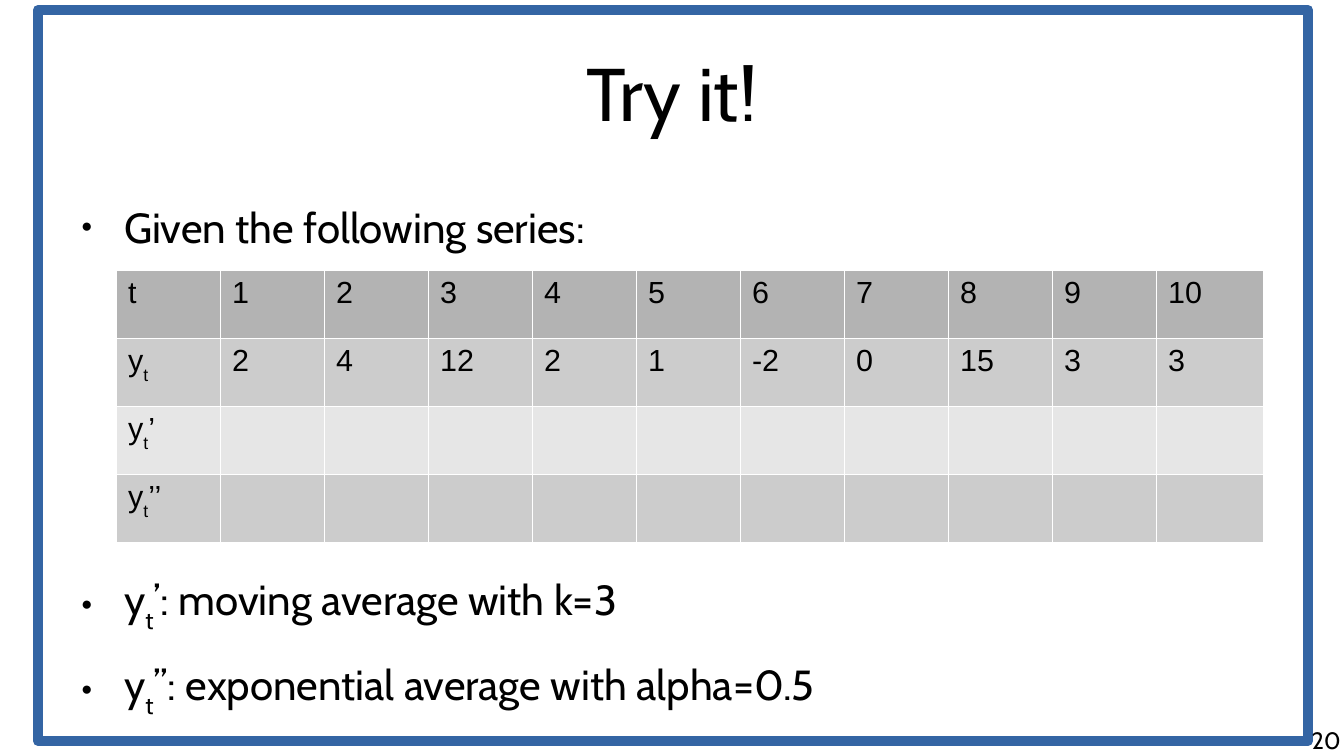
from lxml import etree
from pptx import Presentation
from pptx import util as u
from pptx.dml.color import RGBColor
from pptx.enum import shapes, text
from pptx.oxml import ns

PX = 914400 / 122
BLACK = RGBColor(0, 0, 0)
WHITE = RGBColor(255, 255, 255)
BLUE = RGBColor(0x34, 0x65, 0xA4)
DARK = RGBColor(0xB3, 0xB3, 0xB3)
MID = RGBColor(0xCC, 0xCC, 0xCC)
LIGHT = RGBColor(0xE6, 0xE6, 0xE6)

TIMES = ["t", *map(str, range(1, 11))]
VALUES = ["y_t", "2", "4", "12", "2", "1", "-2", "0", "15", "3", "3"]
ROWS = [(TIMES, DARK), (VALUES, MID), (["y_t’"], LIGHT), (["y_t’’"], MID)]
POINTS = [
    ("Given the following series:", 0),
    ("y_t’: moving average with k=3", 190),
    ("y_t’’: exponential average with alpha=0.5", 14.2),
]


def px(n):
    """Turn px into EMU."""
    return u.Emu(round(n * PX))


def apply(item, form):
    """Set attributes from a dict of format values."""
    for key, val in form.items():
        setattr(item, key, val)


def place(shape, box):
    """Move a shape to a box given in px."""
    apply(shape, dict(zip(("left", "top", "width", "height"), map(px, box))))


def child(node, tag, **attrs):
    """Add a drawing element below a node."""
    return etree.SubElement(node, ns.qn(tag), attrs)


def bare(frame, anchor):
    """Give a text frame no insets and a fixed size."""
    apply(frame, dict(margin_left=0, margin_top=0, margin_right=0,
                      margin_bottom=0, word_wrap=True, vertical_anchor=anchor,
                      auto_size=text.MSO_AUTO_SIZE.NONE))


def write(para, words, size, face):
    """Write words into a paragraph, with the t after y lowered."""
    head, sub, tail = words.partition("_t")
    for part in filter(None, (head, sub[1:], tail)):
        run = para.add_run()
        run.text = part
        apply(run.font, dict(size=u.Pt(size), name=face))
        run.font.color.rgb = BLACK
        if sub and part == "t":
            run._r.get_or_add_rPr().set("baseline", "-33000")


def title(slide, box):
    """Place the slide title."""
    shape = slide.shapes.title
    place(shape, box)
    bare(shape.text_frame, text.MSO_ANCHOR.MIDDLE)
    para = shape.text_frame.paragraphs[0]
    para.alignment = text.PP_ALIGN.CENTER
    write(para, "Try it!", 44, "Cabin")


def body(slide, box):
    """Place the bullet list, with room for the table after its first point."""
    shape = slide.placeholders[1]
    place(shape, box)
    frame = shape.text_frame
    bare(frame, text.MSO_ANCHOR.TOP)
    for i, (words, gap) in enumerate(POINTS):
        para = frame.add_paragraph() if i else frame.paragraphs[0]
        props = para._p.get_or_add_pPr()
        props.set("marL", str(px(57)))
        props.set("indent", str(-px(43)))
        child(child(props, "a:buClr"), "a:srgbClr", val=str(BLACK))
        child(props, "a:buSzPct", val="45000")
        child(props, "a:buFont", typeface="Arial")
        child(props, "a:buChar", char="●")
        para.space_before = u.Pt(gap)
        write(para, words, 24.8, "Cabin")


def border(slide, box):
    """Draw the blue frame around the slide."""
    shape = slide.shapes.add_shape(shapes.MSO_SHAPE.RECTANGLE, *map(px, box))
    shape.shadow.inherit = False
    shape.fill.background()
    shape.line.color.rgb = BLUE
    shape.line.width = u.Pt(6)


def edge(cell):
    """Draw thin white lines around a cell."""
    props = cell._tc.get_or_add_tcPr()
    for i, tag in enumerate(("a:lnL", "a:lnR", "a:lnT", "a:lnB")):
        line = child(props, tag, w="762")
        child(child(line, "a:solidFill"), "a:srgbClr", val=str(WHITE))
        props.insert(i, line)


def series(slide, box):
    """Place the table of the series and its averages."""
    wide, high = box[2] // len(TIMES), box[3] // len(ROWS)
    table = slide.shapes.add_table(len(ROWS), len(TIMES), *map(px, box)).table
    apply(table, dict(first_row=False, horz_banding=False))
    for col in table.columns:
        col.width = px(wide)
    table.columns[len(TIMES) - 1].width = px(box[2] - wide * (len(TIMES) - 1))
    for row, (words, shade) in zip(table.rows, ROWS):
        row.height = px(high)
        for i, cell in enumerate(row.cells):
            cell.fill.solid()
            cell.fill.fore_color.rgb = shade
            edge(cell)
            if i < len(words):
                write(cell.text_frame.paragraphs[0], words[i], 18, "Arial")


def number(slide, box):
    """Place the page number."""
    frame = slide.shapes.add_textbox(*map(px, box)).text_frame
    bare(frame, text.MSO_ANCHOR.TOP)
    para = frame.paragraphs[0]
    para.alignment = text.PP_ALIGN.RIGHT
    write(para, "20", 14, "Cabin")


def main():
    """Build the slide and save it."""
    deck = Presentation()
    apply(deck, dict(slide_width=px(1344), slide_height=px(756)))
    slide = deck.slides.add_slide(deck.slide_layouts[1])
    title(slide, (67, 1, 1210, 182))
    body(slide, (67, 201, 1210, 504))
    border(slide, (38, 10, 1270, 731))
    series(slide, (116, 270, 1147, 272))
    number(slide, (1027, 726, 314, 30))
    deck.save("out.pptx")


if __name__ == "__main__":
    main()
